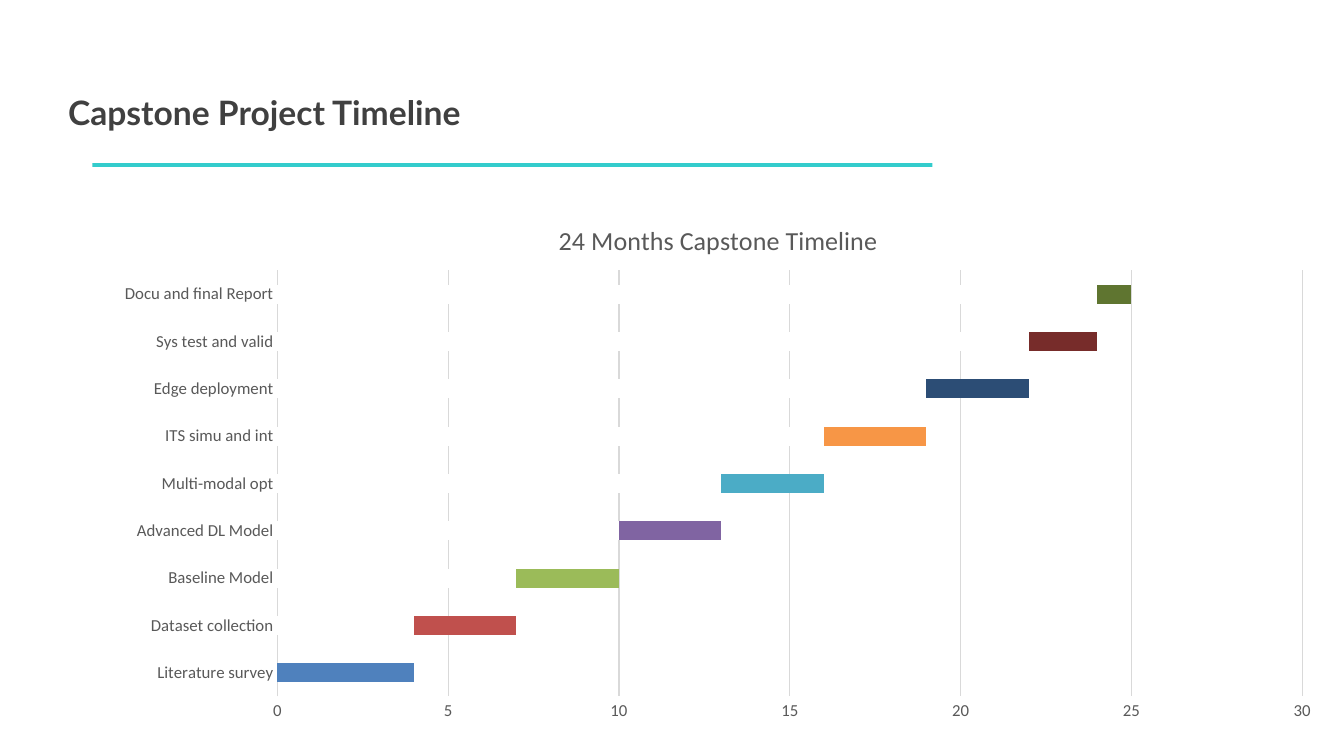
from lxml import etree
from pptx import Presentation
from pptx.chart.data import CategoryChartData
from pptx.dml.color import RGBColor
from pptx.enum.chart import XL_CHART_TYPE as ChartType, XL_TICK_MARK as TickMark
from pptx.enum.shapes import MSO_SHAPE as Shape
from pptx.enum.text import MSO_ANCHOR as Anchor, PP_ALIGN as Align
from pptx.oxml.ns import qn
from pptx.util import Cm, Pt

COLORS = {"white": "FFFFFF", "heading": "404040", "label": "595959",
          "grid": "D9D9D9", "accent": "33CCCC", "spare": "4D3B62"}

# Task, length in months, bar colour
TASKS = [
    ("Literature survey", 4, "4F81BD"),
    ("Dataset collection", 3, "C0504D"),
    ("Baseline Model", 3, "9BBB59"),
    ("Advanced DL Model", 3, "8064A2"),
    ("Multi-modal opt", 3, "4BACC6"),
    ("ITS simu and int", 3, "F79646"),
    ("Edge deployment", 3, "2C4D75"),
    ("Sys test and valid", 2, "772C2A"),
    ("Docu and final Report", 1, "5F7530"),
]


def paint(fill, color):
    fill.solid()
    fill.fore_color.rgb = RGBColor.from_string(color)


def style_font(font, color, **formats):
    for name, value in formats.items():
        setattr(font, name, value)
    font.color.rgb = RGBColor.from_string(COLORS[color])


prs = Presentation()
prs.slide_width, prs.slide_height = Cm(33.87), Cm(19.05)
slide = prs.slides.add_slide(prs.slide_layouts[5])

# Heading and its underline
heading = slide.shapes.title
heading.left, heading.top, heading.width, heading.height = Cm(1.45), Cm(2.18), Cm(10.41), Cm(1.27)
heading_text = heading.text_frame
heading_text.text = "Capstone Project Timeline"
heading_text.word_wrap = False
heading_text.vertical_anchor = Anchor.MIDDLE
heading_text.paragraphs[0].alignment = Align.RIGHT
style_font(heading_text.paragraphs[0].runs[0].font, "heading", name="Lato", size=Pt(24), bold=True)

underline = slide.shapes.add_shape(Shape.RECTANGLE, Cm(2.33), Cm(4.11), Cm(21.17), Cm(0.1))
underline.shadow.inherit = False
paint(underline.fill, COLORS["accent"])
underline.line.fill.background()

# Each task's series repeats in all later rows, where white makes it the offset
timeline_data = CategoryChartData()
timeline_data.categories = [task for task, _, _ in TASKS]
for start, (_, months, _) in enumerate(TASKS):
    timeline_data.add_series(f"Series {start + 1}",
                             [months if row >= start else 0 for row in range(len(TASKS))])
timeline_data.add_series("Series 10", [None] * len(TASKS))

timeline = slide.shapes.add_chart(ChartType.BAR_STACKED, Cm(2.54), Cm(5.08), Cm(31.12), Cm(13.34),
                                  timeline_data).chart
timeline.has_legend = False
style_font(timeline.font, "label", name="Calibri", size=Pt(10))
timeline.has_title = True
timeline_title = timeline.chart_title.text_frame
timeline_title.text = "24 Months Capstone Timeline"
title_line = timeline_title.paragraphs[0]
for font in (title_line.font, title_line.runs[0].font):
    style_font(font, "label", name="Calibri", size=Pt(18.6), bold=False)

# Fixed plot area, as fractions of the chart
plot_area = timeline._chartSpace.chart.plotArea
for old_layout in plot_area.findall(qn("c:layout")):
    plot_area.remove(old_layout)
layout = etree.Element(qn("c:layout"))
plot_area.insert(0, layout)
manual = etree.SubElement(layout, qn("c:manualLayout"))
for tag, value in {"layoutTarget": "inner", "xMode": "edge", "yMode": "edge",
                   "x": "0.143", "y": "0.13", "w": "0.83", "h": "0.805"}.items():
    etree.SubElement(manual, qn(f"c:{tag}")).set("val", value)

bars = timeline.plots[0]
bars.gap_width, bars.overlap, bars.vary_by_categories = 150, 100, False
bar_colors = [color for _, _, color in TASKS] + [COLORS["spare"]]
for start, (series, color) in enumerate(zip(bars.series, bar_colors)):
    paint(series.format.fill, color)
    series.invert_if_negative = False
    for row in range(start + 1, len(TASKS)):
        paint(series.points[row].format.fill, COLORS["white"])

tasks_axis, months_axis = timeline.category_axis, timeline.value_axis
for axis in (tasks_axis, months_axis):
    axis.major_tick_mark = axis.minor_tick_mark = TickMark.NONE
    style_font(axis.tick_labels.font, "label", name="Calibri", size=Pt(12))
months_axis.minimum_scale, months_axis.maximum_scale, months_axis.major_unit = 0, 30, 5
months_axis.has_major_gridlines = True
months_axis.format.line.fill.background()
for line in (tasks_axis.format.line, months_axis.major_gridlines.format.line):
    paint(line.fill, COLORS["grid"])
    line.width = Pt(0.75)

prs.save("out.pptx")
